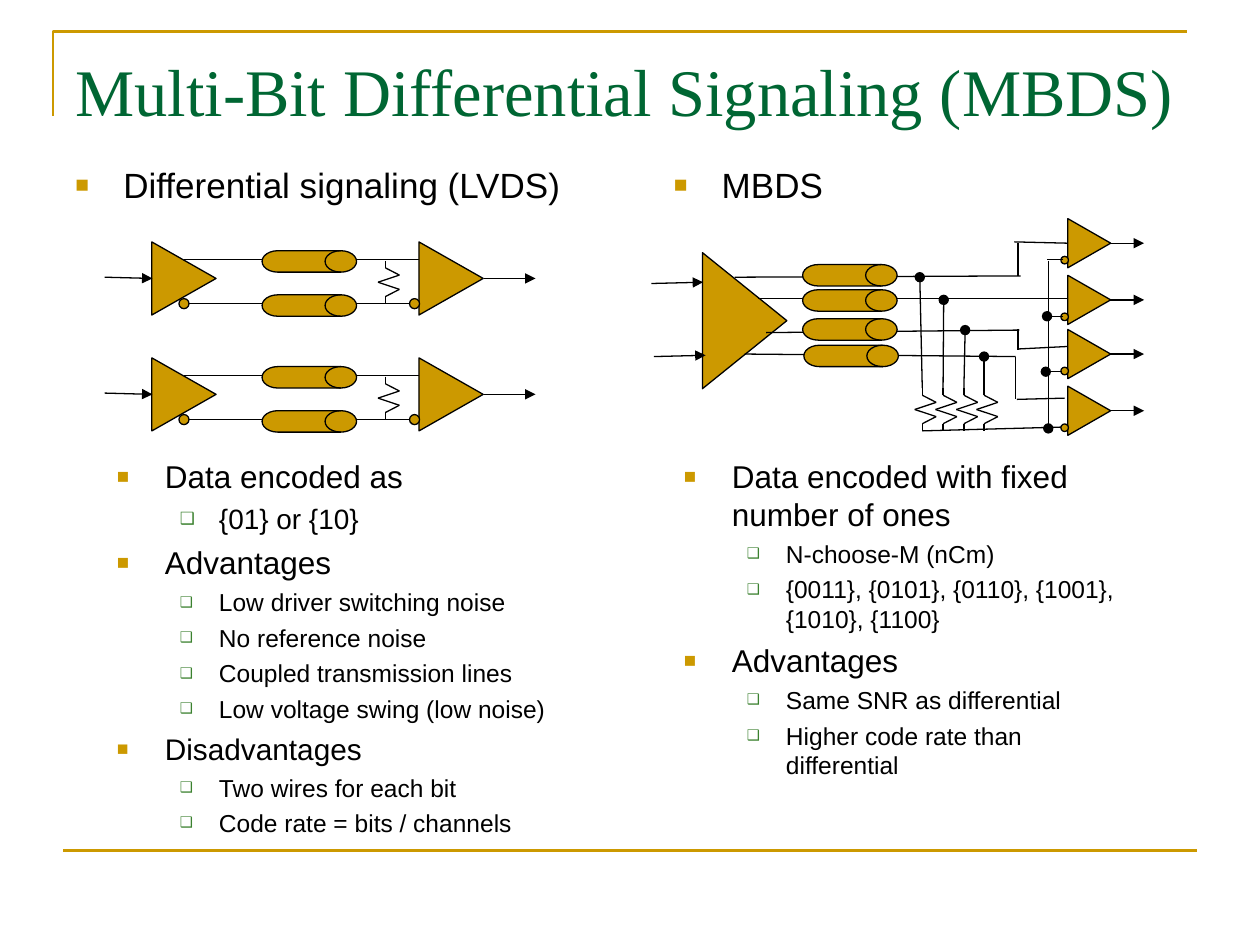
"""Build the slide on multi-bit differential signaling with its two circuit diagrams."""
from dataclasses import dataclass

from lxml import etree
from pptx import Presentation
from pptx.dml.color import RGBColor
from pptx.enum.shapes import MSO_CONNECTOR, MSO_SHAPE
from pptx.enum.text import MSO_ANCHOR
from pptx.oxml.ns import qn
from pptx.util import Inches, Pt

STRAIGHT = MSO_CONNECTOR.STRAIGHT
TRIANGLE = MSO_SHAPE.ISOSCELES_TRIANGLE
OVAL = MSO_SHAPE.OVAL
DRUM = MSO_SHAPE.FLOWCHART_DIRECT_ACCESS_STORAGE
TOP = MSO_ANCHOR.TOP
COLS, ROWS = 100, 75


@dataclass(frozen=True)
class Theme:
    """Colours, fonts, type sizes and bullet styles."""
    gold: str = "CC9900"
    green: str = "006633"
    ink: str = "000000"
    serif: str = "Times New Roman"
    sans: str = "Arial"
    title: int = 38
    lead: int = 20
    head: int = 18
    minor_head: int = 17
    large_item: int = 16
    item: int = 14
    wire: float = 0.75
    rule: float = 1.5
    bullets: tuple = (("■", "CC9900", 65, 0.38, -0.38), ("❑", "3B812F", 60, 0.81, -0.31))


def set_all(obj, values):
    """Set every attribute named in a dict."""
    for name, value in values.items():
        setattr(obj, name, value)


class Board:
    """Draws elements on the current slide in grid columns and rows."""

    def __init__(self, prs, theme):
        self.t = theme
        self.dx, self.dy = prs.slide_width / COLS, prs.slide_height / ROWS
        self.slide = prs.slides.add_slide(prs.slide_layouts[6])
        self.shapes = self.slide.shapes

    def group(self):
        """Start a new group for the elements that follow."""
        self.shapes = self.slide.shapes.add_group_shape().shapes

    def place(self, x, y):
        """Turn a column and a row into slide lengths."""
        return round(x * self.dx), round(y * self.dy)

    def stroke(self, shape, color, width):
        """Outline a shape."""
        shape.line.color.rgb = RGBColor.from_string(color)
        shape.line.width = Pt(width)

    def bracket(self, points):
        """Draw an open outline through the points."""
        first, *rest = [self.place(*pt) for pt in points]
        fb = self.shapes.build_freeform(*first)
        fb.add_line_segments(rest, close=False)
        sp = fb.convert_to_shape()
        sp.fill.background()
        sp.shadow.inherit = False
        self.stroke(sp, self.t.gold, self.t.rule)

    def line(self, x1, y1, x2, y2, end=None, color=None, width=None):
        """Draw a line, with an optional arrowhead or dot at its end."""
        cn = self.shapes.add_connector(STRAIGHT, *self.place(x1, y1), *self.place(x2, y2))
        self.stroke(cn, color or self.t.ink, width or self.t.wire)
        if end:
            etree.SubElement(cn._element.spPr.find(qn("a:ln")), qn("a:tailEnd"), type=end)
        etree.SubElement(cn._element.spPr, qn("a:effectLst"))

    def shape(self, kind, x, y, w, h, rotation=0):
        """Draw a gold shape with a thin outline."""
        sp = self.shapes.add_shape(kind, *self.place(x, y), *self.place(w, h))
        sp.fill.solid()
        sp.fill.fore_color.rgb = RGBColor.from_string(self.t.gold)
        sp.rotation = rotation
        sp.shadow.inherit = False
        self.stroke(sp, self.t.ink, self.t.wire)

    def amp(self, cx, cy, span, depth):
        """Draw an amplifier pointing right, centred on a point."""
        self.shape(TRIANGLE, cx - span / 2, cy - depth / 2, span, depth, 90)

    def drum(self, x, y):
        """Draw one transmission line."""
        self.shape(DRUM, x, y, 7.5, 1.7)

    def resistor(self, x, y):
        """Draw a zigzag downwards from a point."""
        xs = [x + d for d in (0, 0, 1.1, -0.6, 1.1, 0, 0)]
        ys = [y + 3.4 * i / 6 for i in range(7)]
        pts = list(zip(xs, ys))
        for a, b in zip(pts, pts[1:]):
            self.line(*a, *b)

    def text(self, x, y, w, h, rows, font=None, color=None, top=0.05):
        """Write paragraphs given as level, size and words."""
        box = self.shapes.add_textbox(*self.place(x, y), *self.place(w, h))
        tf = box.text_frame
        set_all(tf, {"word_wrap": True, "vertical_anchor": TOP, "margin_top": Inches(top)})
        for i, (level, size, words) in enumerate(rows):
            p = tf.paragraphs[0] if i == 0 else tf.add_paragraph()
            if level is not None:
                self.bullet(p, level)
            p.space_before = Pt(size / 4 if i else 0)
            r = p.add_run()
            r.text = words
            set_all(r.font, {"name": font or self.t.sans, "size": Pt(size)})
            r.font.color.rgb = RGBColor.from_string(color or self.t.ink)

    def bullet(self, p, level):
        """Give a paragraph the bullet and indent of its level."""
        char, color, size, left, hang = self.t.bullets[level]
        p.level = level
        ppr = p._p.get_or_add_pPr()
        ppr.set("marL", str(Inches(left)))
        ppr.set("indent", str(Inches(hang)))
        clr = etree.SubElement(ppr, qn("a:buClr"))
        etree.SubElement(clr, qn("a:srgbClr"), val=color)
        etree.SubElement(ppr, qn("a:buSzPct"), val=str(size * 1000))
        etree.SubElement(ppr, qn("a:buFont"), typeface=self.t.sans)
        etree.SubElement(ppr, qn("a:buChar"), char=char)

    def lvds(self, y):
        """Draw one differential pair centred on a row."""
        self.amp(14.6, y, 5.8, 5.1)
        self.shape(OVAL, 14.2, y + 1.6, 0.8, 0.8)
        self.line(8.3, y - 0.1, 12.1, y, "triangle")
        self.line(14.6, y - 1.5, 33.3, y - 1.5)
        self.line(15, y + 2, 33.3, y + 2)
        self.amp(35.8, y, 5.8, 5.1)
        self.shape(OVAL, 32.5, y + 1.6, 0.8, 0.8)
        for offset in (-2.2, 1.3):
            self.drum(20.8, y + offset)
        self.line(38.4, y, 42.5, y, "triangle")
        self.resistor(30.6, y - 1.4)

    def mbds(self):
        """Draw the four-channel driver, its loads and its receivers."""
        self.amp(59.1, 25.45, 10.8, 6.7)
        for y in (19.3, 23.8, 28.1, 32.6):
            self.amp(86.45, y, 3.9, 3.4)
            self.shape(OVAL, 84.2, y + 1.05, 0.6, 0.6)
            self.line(88.1, y, 90.8, y, "triangle")
        for wire in ((58.3, 22, 81, 21.9), (60.2, 23.7, 84.7, 23.7),
                     (59.1, 28.1, 80.6, 28.3), (60.8, 26.4, 80.9, 26.2)):
            self.line(*wire)
        for x, y in ((63.7, 21), (63.7, 23), (63.7, 25.3), (63.8, 27.4)):
            self.drum(x, y)
        self.line(84.2, 33.9, 73.2, 34.2)
        for x, tap_x, tap_y in ((73.2, 73, 22), (74.85, 74.9, 23.8),
                                (76.5, 76.6, 26.2), (78.1, 78.1, 28.3)):
            self.resistor(x, 30.8)
            self.line(x, 30.8, tap_x, tap_y, "oval")
        self.line(83.2, 20.7, 83.2, 34, "oval")
        for x, y, end in ((84.4, 20.6, None), (84.4, 25.1, "oval"), (84.3, 29.5, "oval")):
            self.line(x, y, x - 1.3, y, end)
        for wire in ((84.7, 19.3, 80.5, 19.2), (80.8, 19.3, 80.8, 21.9),
                     (84.7, 27.5, 80.8, 27.7), (80.8, 26.1, 80.8, 27.8),
                     (80.6, 28.3, 80.6, 31.7), (80.7, 31.7, 84.5, 31.6)):
            self.line(*wire)
        for x, y in ((51.7, 22.5), (51.9, 28.3)):
            self.line(x, y, x + 4.1, y - 0.1, "triangle")


def main():
    """Build and save the slide."""
    prs = Presentation()
    set_all(prs, {"slide_width": Inches(10), "slide_height": Inches(7.5)})
    t = Theme()
    s = Board(prs, t)
    s.bracket([(4.2, 9.2), (4.2, 2.5), (94.2, 2.5)])
    s.line(5, 67.5, 95, 67.5, color=t.gold, width=t.rule)
    s.text(5, 3, 90, 7, [(None, t.title, "Multi-Bit Differential Signaling (MBDS)")],
           t.serif, t.green, 0.1)
    s.text(5, 12.5, 40.8, 5, [(0, t.lead, "Differential signaling (LVDS)")])
    s.text(52.5, 12.5, 38.3, 6.7, [(0, t.lead, "MBDS")])
    s.text(8.3, 35.8, 38.3, 33.3, [
        (0, t.head, "Data encoded as"),
        (1, t.large_item, "{01} or {10}"),
        (0, t.head, "Advantages"),
        (1, t.item, "Low driver switching noise"),
        (1, t.item, "No reference noise"),
        (1, t.item, "Coupled transmission lines"),
        (1, t.item, "Low voltage swing (low noise)"),
        (0, t.minor_head, "Disadvantages"),
        (1, t.item, "Two wires for each bit"),
        (1, t.item, "Code rate = bits / channels")])
    s.text(53.3, 35.8, 38.3, 26.7, [
        (0, t.head, "Data encoded with fixed number of ones"),
        (1, t.item, "N-choose-M (nCm)"),
        (1, t.item, "{0011}, {0101}, {0110}, {1001}, {1010}, {1100}"),
        (0, t.head, "Advantages"),
        (1, t.item, "Same SNR as differential"),
        (1, t.item, "Higher code rate than differential")])
    s.group()
    for y in (22.1, 31.3):
        s.lvds(y)
    s.group()
    s.mbds()
    prs.save("out.pptx")


if __name__ == "__main__":
    main()
